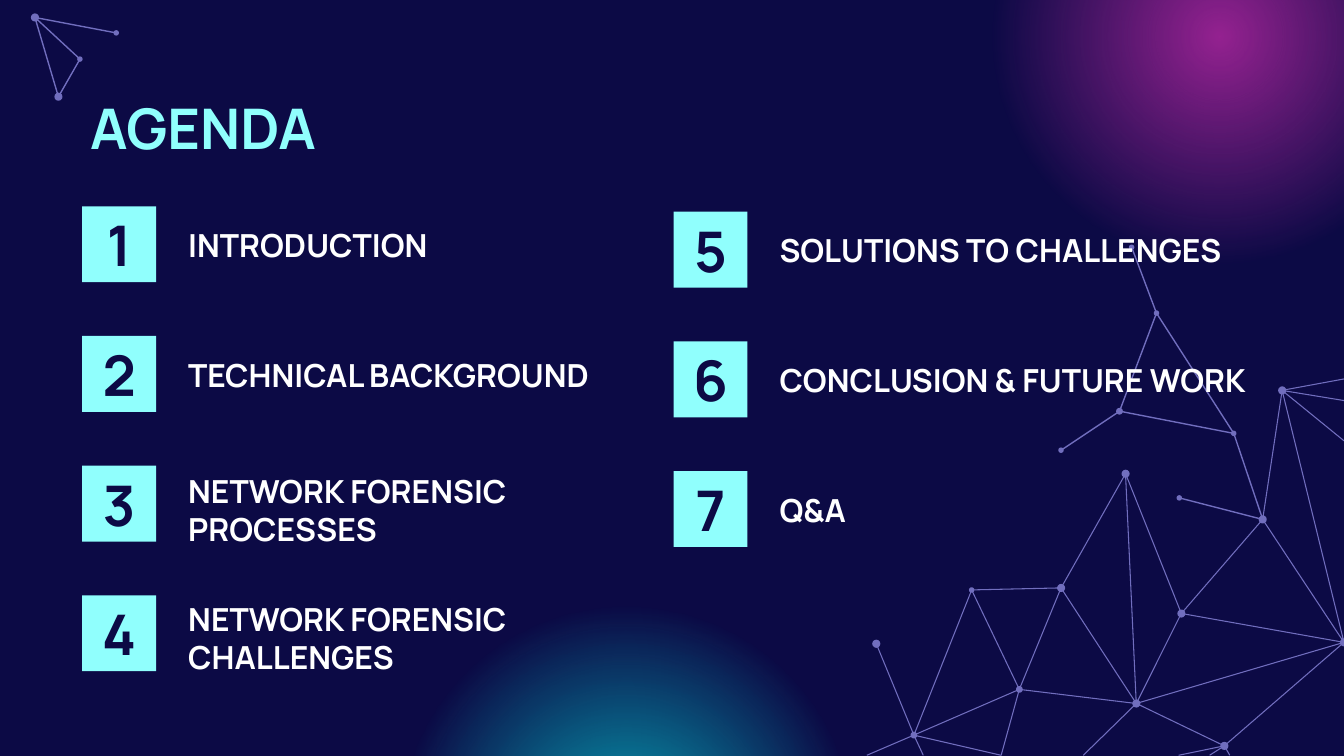
"""Build the agenda slide: seven numbered topics over glows and a node network."""
import pptx
import pptx.dml.color
import pptx.enum.shapes
import pptx.enum.text
import pptx.oxml
import pptx.oxml.ns
import pptx.util

NAVY, CYAN, WHITE, VIOLET = "0C0A45", "90FFFD", "FFFFFF", "716EBE"
OVAL = pptx.enum.shapes.MSO_SHAPE.OVAL
RECTANGLE = pptx.enum.shapes.MSO_SHAPE.RECTANGLE
ANCHOR = pptx.enum.text.MSO_ANCHOR
ALIGN = pptx.enum.text.PP_ALIGN


def paint(color_format, hex_value):
    """Set a colour from a hex string."""
    color_format.rgb = pptx.dml.color.RGBColor.from_string(hex_value)


def write(shape, text, size, hex_value, anchor, alignment):
    """Fill a shape with bold text."""
    frame = shape.text_frame
    frame.text = text
    frame_format = {"word_wrap": True, "vertical_anchor": anchor,
                    "auto_size": pptx.enum.text.MSO_AUTO_SIZE.NONE}
    for side in ("left", "top", "right", "bottom"):
        frame_format[f"margin_{side}"] = unit
    for name, value in frame_format.items():
        setattr(frame, name, value)
    font_format = {"name": "Manrope", "size": pptx.util.Pt(size), "bold": True}
    for paragraph in frame.paragraphs:
        paragraph.alignment = alignment
        for run in paragraph.runs:
            for name, value in font_format.items():
                setattr(run.font, name, value)
            paint(run.font.color, hex_value)


presentation = pptx.Presentation()
presentation.slide_width = pptx.util.Inches(10)
presentation.slide_height = presentation.slide_width * 9 // 16
unit = presentation.slide_width // 100
slide = presentation.slides.add_slide(presentation.slide_layouts[5])
shapes = slide.shapes
slide.background.fill.solid()
paint(slide.background.fill.fore_color, NAVY)

glow_size = 47.8
for left, top, hex_value in [(22.7, 38.1, "07A0B3"), (66.8, -21.2, "942290")]:
    glow = shapes.add_shape(OVAL, *(round(n * unit) for n in (left, top, glow_size, glow_size)))
    glow.shadow.inherit = False
    glow.line.fill.background()
    glow.fill.background()
    stops = "".join(
        f'<a:gs pos="{position}"><a:srgbClr val="{hex_value}"><a:alpha val="{alpha}"/></a:srgbClr></a:gs>'
        for position, alpha in [(0, 100000), (50000, 0), (100000, 0)])
    gradient = pptx.oxml.parse_xml(
        f'<a:gradFill {pptx.oxml.ns.nsdecls("a")}><a:gsLst>{stops}</a:gsLst><a:path path="circle">'
        '<a:fillToRect l="50000" t="50000" r="50000" b="50000"/></a:path></a:gradFill>')
    properties = glow.element.spPr
    properties.replace(properties.find(pptx.oxml.ns.qn("a:noFill")), gradient)

nodes = {
    "A": (64.5, 56.2), "B": (68, 54.7), "C": (72.3, 43.9), "D": (78.95, 43.75), "E": (83.75, 35.25),
    "F": (87.9, 45.65), "G": (93.95, 38.65), "H": (95.4, 29.05), "I": (100, 28.2), "K": (68.7, 56.2),
    "N": (74.5, 56.2), "O": (75.85, 51.3), "P": (84.55, 52.35), "Q": (91.5, 56.2), "R": (91.1, 55.5),
    "S": (87.7, 56.2), "T": (90, 56.2), "U": (100, 47.8), "V": (80.6, 56.2), "W": (100, 32.8),
    "X": (100, 29.8), "Y": (65.2, 47.9),
    "a": (87.75, 37.05), "c": (91.8, 32.25), "d": (86.05, 23.3), "e": (84.2, 18.4),
    "f": (83.3, 30.6), "g": (78.95, 33.5),
    "m": (8.65, 2.45), "n": (2.6, 1.3), "o": (4.35, 7.2), "p": (5.95, 4.4),
}
routes = {
    0.56: ["ABCDEFGHI", "OB", "NBK", "NOPDOC", "QRS", "RT", "VPE", "PUFPRU", "GUHW", "HX", "BY"],
    0.75: ["aGcde", "dfc", "fg", "mnopn"],
}
dots = {0.3: "Cacdegmp", 0.4: "BOf", 0.5: "YDEFGHPRUno"}

for weight, chains in routes.items():
    for chain in chains:
        points = [tuple(round(n * unit) for n in nodes[name]) for name in chain]
        builder = shapes.build_freeform(*points[0], scale=1)
        builder.add_line_segments(points[1:], close=False)
        route = builder.convert_to_shape()
        route.shadow.inherit = False
        route.fill.background()
        route.line.width = pptx.util.Pt(weight)
        paint(route.line.color, VIOLET)

for size, names in dots.items():
    for name in names:
        x, y = nodes[name]
        dot = shapes.add_shape(OVAL, *(round(n * unit) for n in (x - size / 2, y - size / 2, size, size)))
        dot.shadow.inherit = False
        dot.fill.solid()
        paint(dot.fill.fore_color, VIOLET)
        dot.line.width = pptx.util.Pt(0.75)
        paint(dot.line.color, VIOLET)

title = shapes.title
title_box = {"left": 5.7, "top": 5.95, "width": 84.3, "height": 6.3}
for name, value in title_box.items():
    setattr(title, name, round(value * unit))
write(title, "AGENDA", 30, CYAN, ANCHOR.TOP, ALIGN.LEFT)

columns = [
    (6.12, 15.35, [("INTRODUCTION", 37.8, 4.9), ("TECHNICAL BACKGROUND", 40.4, 4.9),
                   ("NETWORK FORENSIC\nPROCESSES", 47.7, 7.1),
                   ("NETWORK FORENSIC CHALLENGES", 38.9, 7)]),
    (50.12, 15.75, [("SOLUTIONS TO CHALLENGES", 37.8, 4.9), ("CONCLUSION & FUTURE WORK", 40.4, 4.9),
                    ("Q&A", 47.7, 4.9)]),
]
row_pitch = 9.65
number = 0
for left, first_top, topics in columns:
    for row, (topic, width, height) in enumerate(topics):
        number += 1
        top = first_top + row * row_pitch
        badge = shapes.add_shape(RECTANGLE, *(round(n * unit) for n in (left, top, 5.5, 5.65)))
        badge.shadow.inherit = False
        badge.fill.solid()
        paint(badge.fill.fore_color, CYAN)
        badge.line.fill.background()
        write(badge, str(number), 30, NAVY, ANCHOR.MIDDLE, ALIGN.CENTER)
        label_top = top + (0.38 if height < 5 else 0)
        label = shapes.add_textbox(*(round(n * unit) for n in (left + 6.9, label_top, width, height)))
        write(label, topic, 17, WHITE, ANCHOR.BOTTOM, ALIGN.LEFT)

presentation.save("out.pptx")
